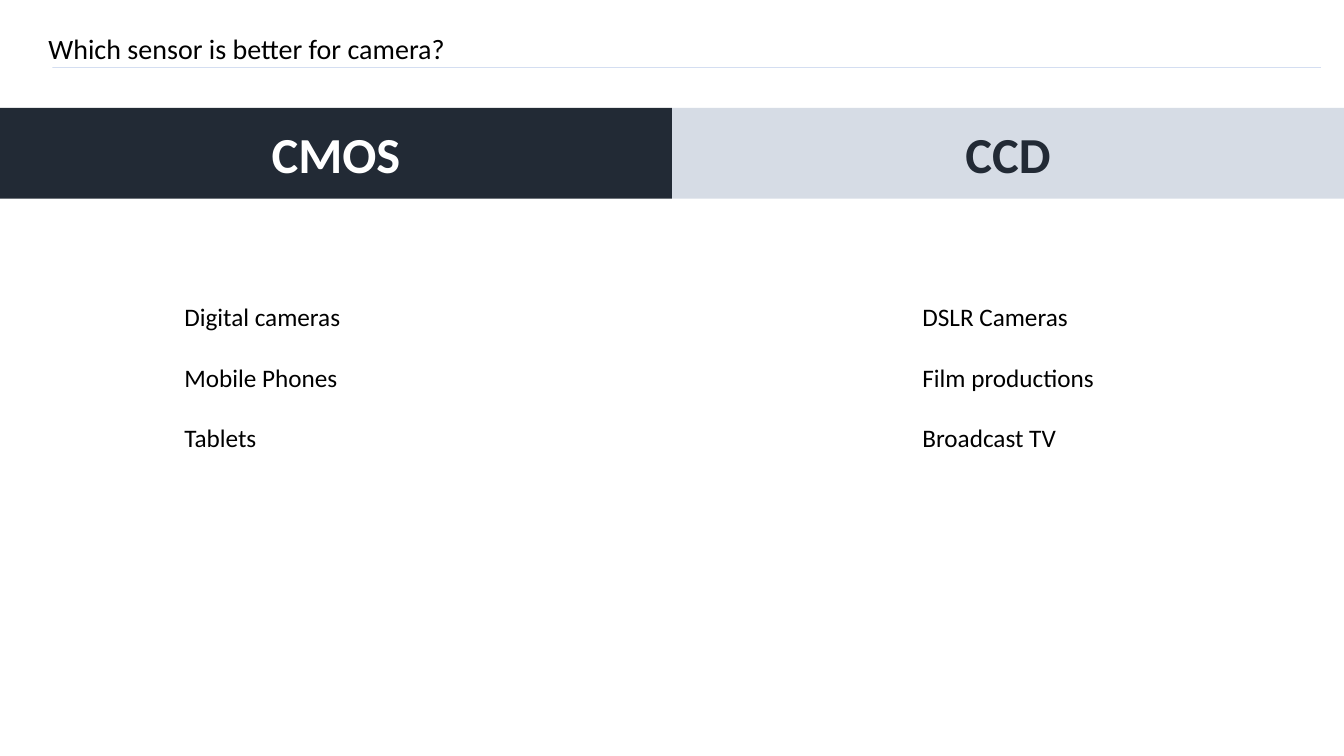
import pptx
import pptx.dml.color
import pptx.enum.shapes
import pptx.enum.text
import pptx.oxml
import pptx.oxml.ns
import pptx.util
from pptx.util import Inches

RGBColor = pptx.dml.color.RGBColor
BLACK = RGBColor(0x00, 0x00, 0x00)
WHITE = RGBColor(0xFF, 0xFF, 0xFF)
NAVY = RGBColor(0x22, 0x2A, 0x35)
PALE_BLUE = RGBColor(0xD6, 0xDC, 0xE5)
RULE_BLUE = RGBColor(0x44, 0x72, 0xC4)

FONT = "Calibri"
ALIGN = pptx.enum.text.PP_ALIGN
ANCHOR = pptx.enum.text.MSO_ANCHOR
AUTO_SIZE = pptx.enum.text.MSO_AUTO_SIZE
HALF_WIDTH = 13.33 / 2


def add_run(paragraph, text, size, color, bold=False):
    run = paragraph.add_run()
    run.text = text
    run.font.name = FONT
    run.font.size = pptx.util.Pt(size)
    run.font.bold = bold
    run.font.color.rgb = color


def set_title(slide, text):
    title = slide.shapes.title
    title.left, title.top = Inches(0.38), Inches(0.26)
    title.width, title.height = Inches(11.5), Inches(0.44)
    frame = title.text_frame
    frame.word_wrap = True
    frame.auto_size = AUTO_SIZE.SHAPE_TO_FIT_TEXT
    frame.vertical_anchor = ANCHOR.TOP
    frame.paragraphs[0].alignment = ALIGN.LEFT
    add_run(frame.paragraphs[0], text, 20, BLACK)


def add_rule(slide, left, right, top):
    rule = slide.shapes.add_connector(
        pptx.enum.shapes.MSO_CONNECTOR.STRAIGHT,
        Inches(left), Inches(top), Inches(right), Inches(top))
    rule.line.color.rgb = RULE_BLUE
    rule.line.width = pptx.util.Pt(0.25)
    properties = rule._element.spPr
    # Partial opacity, and no shadow
    color = properties.find(".//" + pptx.oxml.ns.qn("a:srgbClr"))
    color.append(pptx.oxml.parse_xml(
        f'<a:alpha {pptx.oxml.ns.nsdecls("a")} val="64000"/>'))
    properties.append(pptx.oxml.parse_xml(
        f'<a:effectLst {pptx.oxml.ns.nsdecls("a")}/>'))


def add_heading(group, text, left, fill, color):
    heading = group.shapes.add_shape(
        pptx.enum.shapes.MSO_SHAPE.RECTANGLE,
        Inches(left), Inches(1.07), Inches(HALF_WIDTH), Inches(0.9))
    heading.shadow.inherit = False
    heading.fill.solid()
    heading.fill.fore_color.rgb = fill
    heading.line.fill.background()
    frame = heading.text_frame
    frame.vertical_anchor = ANCHOR.MIDDLE
    frame.paragraphs[0].alignment = ALIGN.CENTER
    add_run(frame.paragraphs[0], text, 36, color, bold=True)


def add_uses(slide, uses, left, width):
    box = slide.shapes.add_textbox(
        Inches(left), Inches(2.94), Inches(width), Inches(1.62))
    frame = box.text_frame
    frame.word_wrap = False
    frame.auto_size = AUTO_SIZE.SHAPE_TO_FIT_TEXT
    for index, use in enumerate(uses):
        paragraph = frame.paragraphs[0] if index == 0 else frame.add_paragraph()
        if index:
            paragraph.space_before = pptx.util.Pt(21.6)
        add_run(paragraph, use, 18, BLACK)


def main():
    presentation = pptx.Presentation()
    presentation.slide_width = Inches(13.33)
    presentation.slide_height = Inches(7.5)
    slide = presentation.slides.add_slide(presentation.slide_layouts[5])

    # Title and rule
    set_title(slide, "Which sensor is better for camera?")
    add_rule(slide, 0.52, 13.1, 0.67)

    # Column headings
    headings = slide.shapes.add_group_shape()
    add_heading(headings, "CCD", HALF_WIDTH, PALE_BLUE, NAVY)
    add_heading(headings, "CMOS", 0, NAVY, WHITE)

    # Typical uses of each sensor
    add_uses(slide, ["DSLR Cameras", "Film productions", "Broadcast TV"], 9.05, 1.92)
    add_uses(slide, ["Digital cameras", "Mobile Phones", "Tablets"], 1.73, 1.77)

    presentation.save("out.pptx")


if __name__ == "__main__":
    main()
